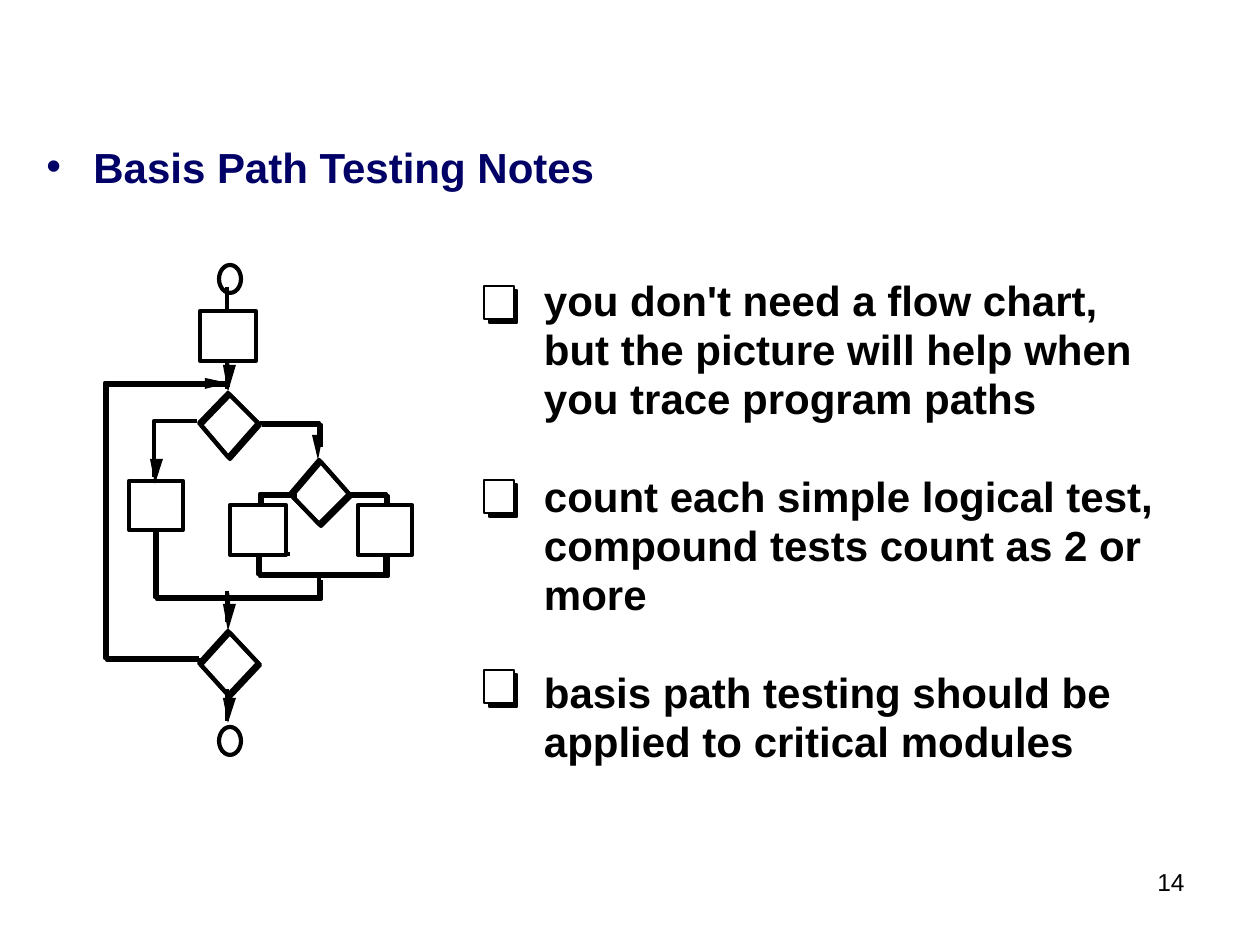
from lxml.etree import SubElement
from pptx import Presentation
from pptx.dml.color import RGBColor
from pptx.enum.shapes import MSO_CONNECTOR, MSO_SHAPE
from pptx.enum.text import PP_ALIGN
from pptx.oxml.ns import qn
from pptx.util import Pt

PIXEL = 914400 / 126
BLACK = RGBColor(0, 0, 0)
WHITE = RGBColor(255, 255, 255)
NAVY = RGBColor(0, 0, 0x66)
FLOW_WIDTH, THIN_WIDTH = 2.38, 1.39


def px(length):
    """Turn whole pixels into EMU."""
    return round(length * PIXEL)


def paint(shape, fill=None, line=None, width=FLOW_WIDTH):
    """Set fill and outline, and drop the shadow."""
    shape.shadow.inherit = False
    if fill is None:
        shape.fill.background()
    else:
        shape.fill.solid()
        shape.fill.fore_color.rgb = fill
    if line is None:
        shape.line.fill.background()
    else:
        shape.line.color.rgb = line
        shape.line.width = Pt(width)


def add_preset(shapes, kind, box, fill=None, line=BLACK, width=FLOW_WIDTH):
    """Add a preset shape in a pixel box."""
    shape = shapes.add_shape(kind, *map(px, box))
    paint(shape, fill, line, width)


def add_outline(shapes, points, closed=False, fill=None, line=BLACK):
    """Add a freeform through pixel points."""
    builder = shapes.build_freeform(*points[0], scale=PIXEL)
    builder.add_line_segments(points[1:], close=closed)
    paint(builder.convert_to_shape(), fill, line)


def add_double(shapes, points, closed=False, fill=None):
    """Add an outline over its copy two pixels down and right."""
    add_outline(shapes, [(x + 2, y + 2) for x, y in points], closed, fill)
    add_outline(shapes, points, closed)


def add_line(shapes, start, end, width=FLOW_WIDTH):
    """Add a straight black line between pixel points."""
    line = shapes.add_connector(MSO_CONNECTOR.STRAIGHT, *map(px, start + end))
    line.line.color.rgb = BLACK
    line.line.width = Pt(width)
    SubElement(line._element.spPr, qn("a:effectLst"))


def add_text(shapes, box, text, size, color=BLACK, bold=False, inset=True):
    """Add one paragraph of Arial and return it."""
    holder = shapes.add_textbox(*map(px, box))
    frame = holder.text_frame
    frame.word_wrap = True
    if not inset:
        frame.margin_left = frame.margin_right = 0
        frame.margin_top = frame.margin_bottom = 0
    paragraph = frame.paragraphs[0]
    paragraph.text = text
    font = paragraph.font
    font.name, font.size, font.bold = "Arial", Pt(size), bold
    font.color.rgb = color
    return paragraph


def draw_heading(slide, box):
    """Write the bulleted heading."""
    heading = add_text(slide.shapes, box, "Basis Path Testing Notes", 24, NAVY, True)
    heading.space_before = Pt(6)
    properties = heading._p.get_or_add_pPr()
    properties.set("marL", str(px(47)))
    properties.set("indent", str(-px(47)))
    bullet_color = SubElement(properties, qn("a:buClr"))
    SubElement(bullet_color, qn("a:srgbClr"), val=str(NAVY))
    SubElement(properties, qn("a:buFont"), typeface="Arial")
    SubElement(properties, qn("a:buChar"), char="•")


def draw_flow_chart(slide, left, top):
    """Draw the flow chart from its top left corner."""
    shapes = slide.shapes.add_group_shape().shapes

    def at(*points):
        return [(left + x, top + y) for x, y in points]

    def box_at(x, y, width, height):
        return left + x, top + y, width, height

    for x, y, drop in ((219, 200, 34), (128, 133, 30), (128, 371, 32)):
        corners = at((x, y), (x - 29, y + drop), (x, y + 64), (x + 30, y + drop))
        add_double(shapes, corners, True, WHITE)
    for y in (5, 467):
        add_preset(shapes, MSO_SHAPE.OVAL, box_at(119, y, 22, 28), WHITE)
    for y, end in ((27, 129), (331, 362), (429, 461)):
        add_line(shapes, *at((127, y), (127, end)))

    for branch in (
        ((160, 163), (219, 163), (219, 185)),
        ((249, 234), (286, 234), (286, 265)),
        ((195, 234), (160, 234), (160, 274)),
    ):
        add_double(shapes, at(*branch))
    add_outline(shapes, at((97, 161), (54, 161), (54, 217)))
    add_outline(shapes, at((160, 296), (160, 316), (288, 316), (288, 296)))
    add_preset(shapes, MSO_SHAPE.RECTANGLE, box_at(158, 294, 127, 20))

    for step in ((100, 51, 56, 50), (130, 245, 56, 50),
                 (258, 245, 54, 50), (29, 221, 54, 49)):
        add_preset(shapes, MSO_SHAPE.RECTANGLE, box_at(*step), WHITE)
    add_double(shapes, at((99, 398), (5, 398), (5, 123), (128, 123)))

    heads = [((128, 123), (105, 129), (105, 118))]
    for x, tip, base, start, end in ((218, 200, 175, 212, 223), (55, 224, 199, 50, 63),
                                     (128, 371, 344, 123, 136), (128, 132, 105, 123, 136),
                                     (128, 463, 438, 123, 136)):
        heads.append(((x, tip), (start, base), (end, base)))
    for head in heads:
        add_outline(shapes, at(*head), True, BLACK, None)
    for stub in (((103, 123), (105, 124)), ((218, 163), (218, 175)),
                 ((55, 190), (55, 199)), ((128, 333), (129, 344)),
                 ((128, 104), (129, 105)), ((128, 436), (129, 438))):
        add_line(shapes, *at(*stub), THIN_WIDTH)
    add_double(shapes, at((219, 318), (219, 337), (55, 337), (55, 270)))
    add_preset(slide.shapes, MSO_SHAPE.RECTANGLE, box_at(191, 274, 64, 24), WHITE, WHITE, 1)


def draw_notes(slide, left, top):
    """Write the notes, each beside a check box."""
    shapes = slide.shapes.add_group_shape().shapes
    notes = (
        (6, (("you don't need a flow chart,", 566),
             ("but the picture will help when", 600),
             ("you trace program paths", 494))),
        (200, (("count each simple logical test,", 622),
               ("compound tests count as 2 or", 610),
               ("more", 105))),
        (390, (("basis path testing should be", 579),
               ("applied to critical modules", 532))),
    )
    for index, (check_top, lines) in enumerate(notes):
        for offset, drop, width, fill in ((5, 4, 28, BLACK), (0, 0, 30, WHITE)):
            check = (left + offset, top + check_top + drop, width, 33)
            add_preset(shapes, MSO_SHAPE.RECTANGLE, check, fill, BLACK, THIN_WIDTH)
        for row, (words, width) in enumerate(lines, index * 4):
            line_box = (left + 60, top + 49 * row, width, 45)
            add_text(shapes, line_box, words, 24, bold=True, inset=False).line_spacing = 0.9


def draw_page_number(slide, box):
    """Write the page number."""
    add_text(slide.shapes, box, "14", 14).alignment = PP_ALIGN.RIGHT


deck = Presentation()
deck.slide_width, deck.slide_height = px(1260), px(945)
notes_slide = deck.slides.add_slide(deck.slide_layouts[6])
draw_page_number(notes_slide, (937, 861, 260, 66))
draw_heading(notes_slide, (34, 135, 1134, 120))
draw_flow_chart(notes_slide, 100, 260)
draw_notes(notes_slide, 484, 280)
deck.save("out.pptx")
